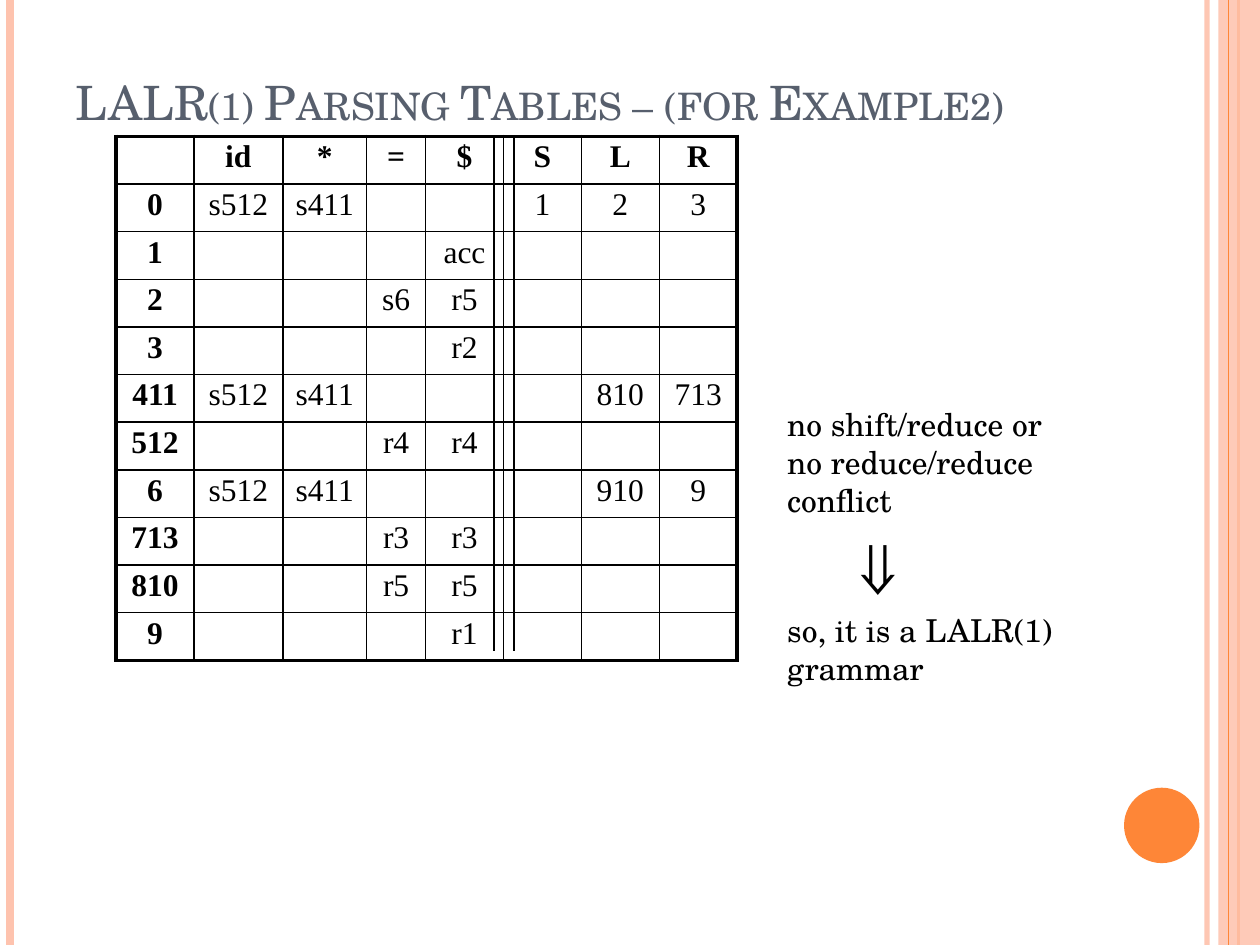
from lxml import etree
from pptx import Presentation
from pptx.dml.color import RGBColor
from pptx.enum.shapes import MSO_CONNECTOR, MSO_SHAPE
from pptx.enum.text import MSO_ANCHOR, MSO_AUTO_SIZE, PP_ALIGN
from pptx.oxml.ns import qn
from pptx.util import Cm, Pt

STRAIGHT = MSO_CONNECTOR.STRAIGHT
RECTANGLE, OVAL = MSO_SHAPE.RECTANGLE, MSO_SHAPE.OVAL
TOP, BOTTOM = MSO_ANCHOR.TOP, MSO_ANCHOR.BOTTOM
LEFT, CENTER = PP_ALIGN.LEFT, PP_ALIGN.CENTER
NO_FIT = MSO_AUTO_SIZE.NONE

COLORS = {"peach": "FEC3AE", "orange": "FE8637", "title": "575F6D", "black": "000000"}
SERIF = "TeX Gyre Schola"
TABLE_FONT = "Times New Roman"
PAGE_HEIGHT = 19.05

TABLE_LEFT, TABLE_TOP = 2.34, 2.75
COLUMN_WIDTHS = [1.57, 1.79, 1.69, 1.19, 1.57, 1.57, 1.57, 1.57]
ROW_HEIGHT = 0.96
PARSING_ROWS = [
    ["", "id", "*", "=", "$", "S", "L", "R"],
    ["0", "s512", "s411", "", "", "1", "2", "3"],
    ["1", "", "", "", "acc", "", "", ""],
    ["2", "", "", "s6", "r5", "", "", ""],
    ["3", "", "", "", "r2", "", "", ""],
    ["411", "s512", "s411", "", "", "", "810", "713"],
    ["512", "", "", "r4", "r4", "", "", ""],
    ["6", "s512", "s411", "", "", "", "910", "9"],
    ["713", "", "", "r3", "r3", "", "", ""],
    ["810", "", "", "r5", "r5", "", "", ""],
    ["9", "", "", "", "r1", "", "", ""],
]


def rgb(name):
    return RGBColor.from_string(COLORS[name])


def set_font(font, name, size, color, bold=False):
    font.name, font.size, font.bold = name, Pt(size), bold
    font.color.rgb = rgb(color)


def set_opacity(shape, percent):
    for color in shape._element.spPr.iter(qn("a:srgbClr")):
        etree.SubElement(color, qn("a:alpha"), val=str(percent * 1000))


def add_vertical_line(page, x, top, bottom, color, width):
    line = page.shapes.add_connector(STRAIGHT, Cm(x), Cm(top), Cm(x), Cm(bottom))
    line.line.color.rgb = rgb(color)
    line.line.width = Pt(width)
    etree.SubElement(line._element.spPr, qn("a:effectLst"))
    return line


def add_plain_shape(page, kind, left, top, width, height, color):
    shape = page.shapes.add_shape(kind, Cm(left), Cm(top), Cm(width), Cm(height))
    shape.shadow.inherit = False
    shape.fill.solid()
    shape.fill.fore_color.rgb = rgb(color)
    shape.line.fill.background()
    return shape


def add_page_decoration(page):
    set_opacity(add_vertical_line(page, 24.33, 0, PAGE_HEIGHT, "peach", 3), 93)
    add_vertical_line(page, 0.21, 0, PAGE_HEIGHT, "peach", 4.5)
    add_vertical_line(page, 24.97, 0, PAGE_HEIGHT, "orange", 1.5)
    band = add_plain_shape(page, RECTANGLE, 24.56, 0, 0.84, PAGE_HEIGHT, "peach")
    set_opacity(band, 87)
    add_vertical_line(page, 24.77, 0, PAGE_HEIGHT, "orange", 0.75)
    add_plain_shape(page, OVAL, 22.66, 15.88, 1.52, 1.52, "orange")


def write_title(page, text):
    title = page.shapes.title
    title.left, title.top, title.width, title.height = Cm(1.27), Cm(0.76), Cm(20.75), Cm(1.98)
    frame = title.text_frame
    frame.auto_size = NO_FIT
    frame.vertical_anchor = BOTTOM
    para = frame.paragraphs[0]
    para.alignment = LEFT
    span = para.add_run()
    span.text = text
    set_font(para.font, SERIF, 27, "title")
    span._r.get_or_add_rPr().set("cap", "small")


def set_borders(cell, widths):
    """Draw the left, right, top and bottom borders with widths in points."""
    properties = cell._tc.get_or_add_tcPr()
    for side, width in zip("LRTB", widths):
        border = etree.SubElement(properties, qn(f"a:ln{side}"), w=str(Pt(width)))
        fill = etree.SubElement(border, qn("a:solidFill"))
        etree.SubElement(fill, qn("a:srgbClr"), val=COLORS["black"])


def add_parsing_table(page):
    row_count, column_count = len(PARSING_ROWS), len(COLUMN_WIDTHS)
    table = page.shapes.add_table(
        row_count, column_count, Cm(TABLE_LEFT), Cm(TABLE_TOP),
        Cm(sum(COLUMN_WIDTHS)), Cm(ROW_HEIGHT * row_count)).table
    table.first_row = table.horz_banding = False
    for column, width in zip(table.columns, COLUMN_WIDTHS):
        column.width = Cm(width)
    for r, values in enumerate(PARSING_ROWS):
        table.rows[r].height = Cm(ROW_HEIGHT)
        for c, value in enumerate(values):
            cell = table.cell(r, c)
            outer = (c == 0, c == column_count - 1, r == 0, r == row_count - 1)
            set_borders(cell, [2.25 if edge else 1 for edge in outer])
            cell.fill.background()
            cell.vertical_anchor = TOP
            para = cell.text_frame.paragraphs[0]
            para.text = value
            para.alignment = CENTER
            para.line_spacing = 0.9
            set_font(para.font, TABLE_FONT, 18, "black", bold=r == 0 or c == 0)


def add_conclusion(page):
    box = page.shapes.add_textbox(Cm(15.62), Cm(8.05), Cm(7.39), Cm(4.45))
    frame = box.text_frame
    frame.word_wrap = True
    lines = [["no shift/reduce or"], ["no reduce/reduce conflict"],
             ["\t", "⇓"], ["so, it is a LALR(1) grammar"]]
    for index, spans in enumerate(lines):
        para = frame.add_paragraph() if index else frame.paragraphs[0]
        set_font(para.font, SERIF, 18, "black")
        for text in spans:
            span = para.add_run()
            span.text = text
            if text == "⇓":
                span.font.size = Pt(44)


def main():
    deck = Presentation()
    deck.slide_width, deck.slide_height = Cm(25.4), Cm(PAGE_HEIGHT)
    page = deck.slides.add_slide(deck.slide_layouts[5])
    add_page_decoration(page)
    write_title(page, "LALR(1) Parsing Tables – (for Example2)")
    add_parsing_table(page)
    for x in (10.36, 9.96):
        add_vertical_line(page, x, TABLE_TOP, 13.12, "black", 0.75)
    add_conclusion(page)
    deck.save("out.pptx")


if __name__ == "__main__":
    main()
